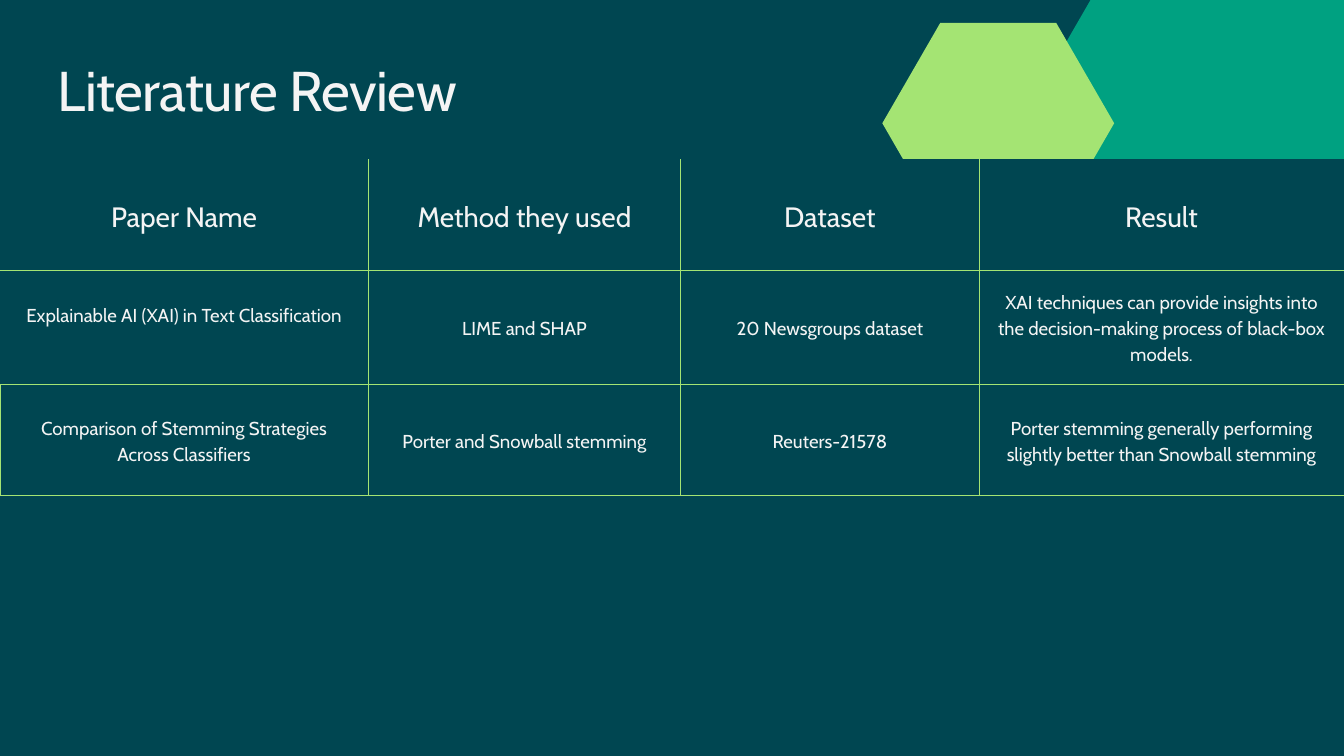
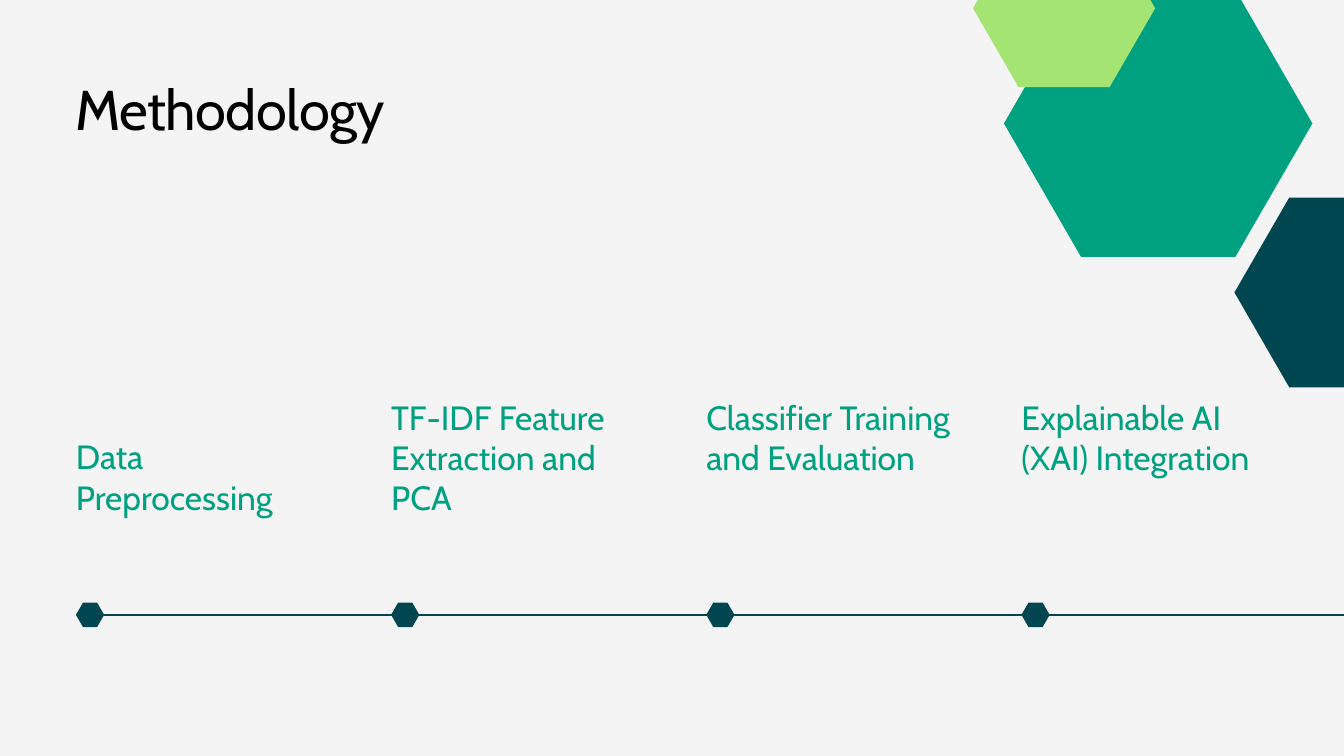
from lxml.etree import SubElement
from pptx import Presentation
from pptx.dml.color import RGBColor
from pptx.enum.shapes import MSO_CONNECTOR, MSO_SHAPE
from pptx.enum.text import MSO_ANCHOR, MSO_AUTO_SIZE, PP_ALIGN
from pptx.oxml.ns import qn
from pptx.util import Inches, Pt

DARK_TEAL = RGBColor(0x00, 0x46, 0x51)
GREEN = RGBColor(0x00, 0xA1, 0x81)
LIME = RGBColor(0xA4, 0xE4, 0x73)
OFF_WHITE = RGBColor(0xF4, 0xF4, 0xF4)
BLACK = RGBColor(0x00, 0x00, 0x00)

FONT = "Cabin"
SLIDE_WIDTH, SLIDE_HEIGHT = 20, 11.25
TITLE_ONLY = 5
HEXAGON_RATIO = 0.866
CELL_MARGIN = 0.21

REVIEW_COLUMNS = [5.48, 4.65, 4.44, 5.43]
REVIEW_ROWS = [
    (1.65, 30, ["Paper Name", "Method they used", "Dataset", "Result"]),
    (1.7, 20, [
        "Explainable AI (XAI) in Text Classification",
        "LIME and SHAP",
        "20 Newsgroups dataset",
        "XAI techniques can provide insights into the decision-making "
        "process of black-box models.",
    ]),
    (1.65, 20, [
        "Comparison of Stemming Strategies Across Classifiers",
        "Porter and Snowball stemming",
        "Reuters-21578",
        "Porter stemming generally performing slightly better than "
        "Snowball stemming",
    ]),
]

# Step text and the height of its label
STEPS = [
    ("Data Preprocessing", 1.2),
    ("TF-IDF Feature Extraction and PCA", 1.79),
    ("Classifier Training and Evaluation", 1.79),
    ("Explainable AI (XAI) Integration", 1.79),
]


def format_paragraph(paragraph, size, color, line_factor, alignment=PP_ALIGN.LEFT):
    paragraph.alignment = alignment
    paragraph.line_spacing = Pt(size * line_factor)
    paragraph.space_before = Pt(0)
    font = paragraph.font
    font.name, font.size, font.bold = FONT, Pt(size), False
    font.color.rgb = color


def fill_text(shape, text, size, color):
    """Write one left-aligned paragraph into a frame without margins."""
    frame = shape.text_frame
    frame.word_wrap = True
    frame.auto_size = MSO_AUTO_SIZE.NONE
    frame.vertical_anchor = MSO_ANCHOR.TOP
    frame.margin_left = frame.margin_right = 0
    frame.margin_top = frame.margin_bottom = 0
    frame.text = text
    format_paragraph(frame.paragraphs[0], size, color, 1.2)


def add_titled_slide(presentation, title, box, color, background):
    slide = presentation.slides.add_slide(presentation.slide_layouts[TITLE_ONLY])
    slide.background.fill.solid()
    slide.background.fill.fore_color.rgb = background
    shape = slide.shapes.title
    shape.left, shape.top, shape.width, shape.height = map(Inches, box)
    fill_text(shape, title, 60, color)
    properties = shape.text_frame.paragraphs[0]._p.get_or_add_pPr()
    properties.get_or_add_defRPr().set("spc", "-60")
    return slide


def add_hexagon(slide, left, top, width, color):
    """Add a regular hexagon standing on a flat side."""
    hexagon = slide.shapes.add_shape(
        MSO_SHAPE.HEXAGON, Inches(left), Inches(top),
        Inches(width), Inches(width * HEXAGON_RATIO))
    hexagon.adjustments[0] = 0.25 / HEXAGON_RATIO
    hexagon.shadow.inherit = False
    hexagon.fill.solid()
    hexagon.fill.fore_color.rgb = color
    hexagon.line.fill.background()


def set_borders(cell, visible_sides):
    properties = cell._tc.get_or_add_tcPr()
    for side in "LRTB":
        line = SubElement(properties, qn(f"a:ln{side}"), w=str(Pt(0.75)))
        if side in visible_sides:
            solid = SubElement(line, qn("a:solidFill"))
            SubElement(solid, qn("a:srgbClr"), val=str(LIME))
        else:
            SubElement(line, qn("a:noFill"))


def border_sides(row, column):
    """Inner lines everywhere; only the last row is closed at both ends."""
    last_row = row == len(REVIEW_ROWS) - 1
    sides = "B"
    if row > 0:
        sides += "T"
    if column > 0 or last_row:
        sides += "L"
    if column < len(REVIEW_COLUMNS) - 1 or last_row:
        sides += "R"
    return sides


def format_cell(cell, text, size, sides):
    set_borders(cell, sides)
    cell.fill.solid()
    cell.fill.fore_color.rgb = DARK_TEAL
    cell.vertical_anchor = MSO_ANCHOR.MIDDLE
    cell.margin_left = cell.margin_right = Inches(CELL_MARGIN)
    cell.margin_top = cell.margin_bottom = Inches(CELL_MARGIN)
    cell.text = text
    format_paragraph(cell.text_frame.paragraphs[0], size, OFF_WHITE, 1.4,
                     PP_ALIGN.CENTER)


def add_review_table(slide, left, top):
    height = sum(row_height for row_height, _, _ in REVIEW_ROWS)
    table = slide.shapes.add_table(
        len(REVIEW_ROWS), len(REVIEW_COLUMNS), Inches(left), Inches(top),
        Inches(sum(REVIEW_COLUMNS)), Inches(height)).table
    table.first_row = table.horz_banding = False
    for column, width in zip(table.columns, REVIEW_COLUMNS):
        column.width = Inches(width)
    for row, (row_height, size, texts) in enumerate(REVIEW_ROWS):
        table.rows[row].height = Inches(row_height)
        for column, text in enumerate(texts):
            format_cell(table.cell(row, column), text, size,
                        border_sides(row, column))
    # The first paper name sits half a line above the middle
    table.cell(1, 0).margin_bottom = Inches(CELL_MARGIN + 0.39)


def add_timeline(slide, left, axis, pitch=4.69):
    """Draw the axis to the slide's right edge, with a marker and label per step."""
    marker_width = 0.42
    line = slide.shapes.add_connector(
        MSO_CONNECTOR.STRAIGHT, Inches(left + marker_width / 2), Inches(axis),
        Inches(SLIDE_WIDTH), Inches(axis))
    line.line.color.rgb = DARK_TEAL
    line.line.width = Pt(1.5)
    SubElement(line._element.spPr, qn("a:effectLst"))
    label_bottom = axis - 1.46
    for index, (text, height) in enumerate(STEPS):
        step_left = left + index * pitch
        add_hexagon(slide, step_left, axis - marker_width * HEXAGON_RATIO / 2,
                    marker_width, DARK_TEAL)
        label = slide.shapes.add_textbox(
            Inches(step_left), Inches(label_bottom - height),
            Inches(3.68), Inches(height))
        fill_text(label, text, 36, GREEN)


def build_literature_review(presentation):
    slide = add_titled_slide(presentation, "Literature Review",
                             (0.86, 0.82, 7.56, 2.01), OFF_WHITE, DARK_TEAL)
    add_hexagon(slide, 14.86, -0.57, 6.79, GREEN)
    add_hexagon(slide, 13.13, 0.34, 3.45, LIME)
    add_review_table(slide, 0, 2.37)


def build_methodology(presentation):
    slide = add_titled_slide(presentation, "Methodology",
                             (1.12, 1.11, 6.23, 1.01), BLACK, OFF_WHITE)
    add_timeline(slide, 1.13, 9.15)
    add_hexagon(slide, 18.37, 2.94, 3.26, DARK_TEAL)
    add_hexagon(slide, 14.94, -0.15, 4.59, GREEN)
    add_hexagon(slide, 14.48, -1.05, 2.71, LIME)


def main():
    presentation = Presentation()
    presentation.slide_width = Inches(SLIDE_WIDTH)
    presentation.slide_height = Inches(SLIDE_HEIGHT)
    build_literature_review(presentation)
    build_methodology(presentation)
    presentation.save("out.pptx")


if __name__ == "__main__":
    main()
